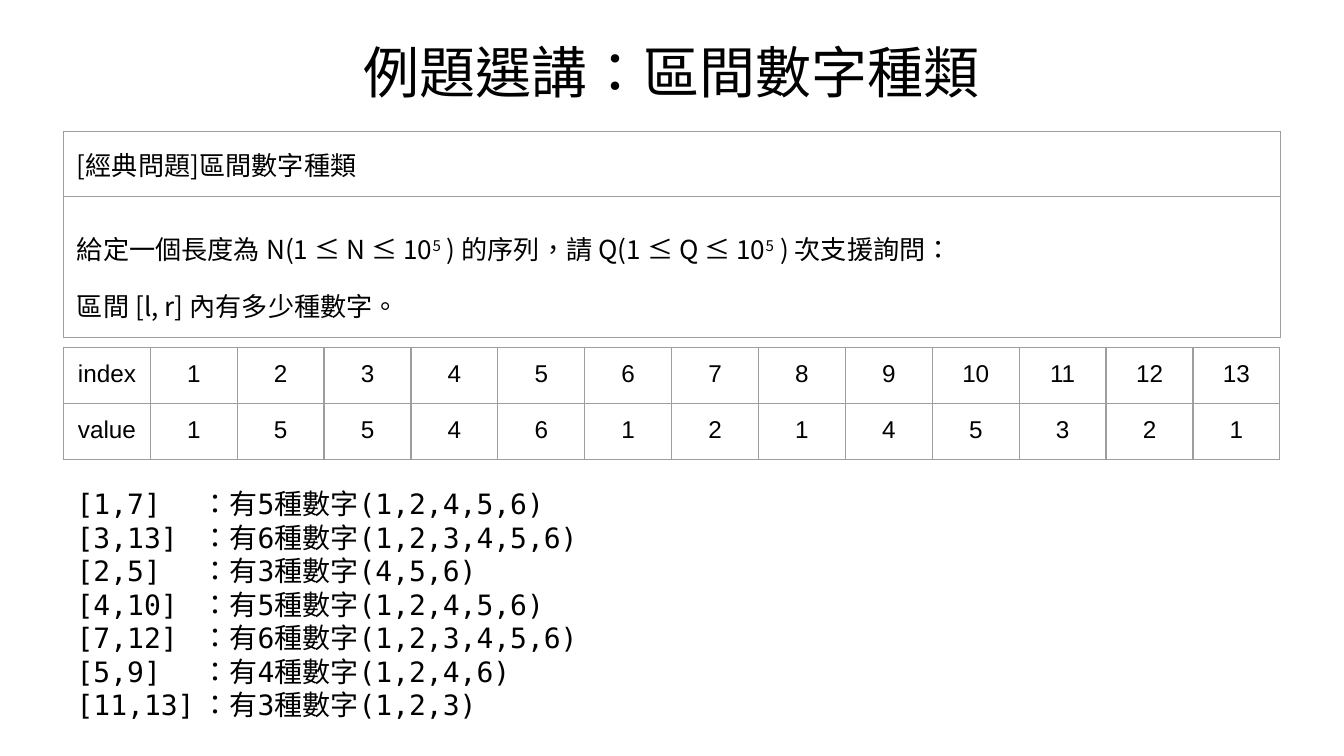
from lxml import etree
from pptx import Presentation
from pptx.dml.color import RGBColor
from pptx.enum.text import PP_ALIGN
from pptx.oxml.ns import qn
from pptx.util import Pt

# Content: a paragraph is a list of (text, superscript) runs
TITLE = "例題選講：區間數字種類"
PROBLEM_NAME = "[經典問題]區間數字種類"
PROBLEM = [
    [("給定⼀個⻑度為 N(1 ≤ N ≤ 10", False), ("5", True),
     (" ) 的序列，請 Q(1 ≤ Q ≤ 10", False), ("5", True),
     (" ) 次⽀援詢問：", False)],
    [("區間 [l, r] 內有多少種數字。", False)],
]
VALUES = [1, 5, 5, 4, 6, 1, 2, 1, 4, 5, 3, 2, 1]
ANSWERS = [
    ("[1,7]", "有5種數字(1,2,4,5,6)"),
    ("[3,13]", "有6種數字(1,2,3,4,5,6)"),
    ("[2,5]", "有3種數字(4,5,6)"),
    ("[4,10]", "有5種數字(1,2,4,5,6)"),
    ("[7,12]", "有6種數字(1,2,3,4,5,6)"),
    ("[5,9]", "有4種數字(1,2,4,6)"),
    ("[11,13]", "有3種數字(1,2,3)"),
]

THEME = {
    "text": RGBColor(0, 0, 0), "border": "9E9E9E", "border_width": Pt(0.75),
    "title": ("Noto Sans CJK TC", 30), "problem": ("Noto Sans CJK TC", 14),
    "sequence": ("Arial", 13), "answer": ("DejaVu Sans Mono", 15),
}
LANGUAGE = "zh-TW"
INSET = Pt(7.2)
LEFT, TABLE_WIDTH = 34, 652
COLON_TAB = Pt(67)


def plain(text):
    return [(text, False)]


def write(frame, paragraphs, style, align=PP_ALIGN.LEFT, spacing=None, tab=None):
    name, size = THEME[style]
    for i, runs in enumerate(paragraphs):
        paragraph = frame.paragraphs[0] if i == 0 else frame.add_paragraph()
        paragraph.alignment = align
        if spacing:
            paragraph.line_spacing = spacing
        if tab:
            tabs = etree.SubElement(paragraph._p.get_or_add_pPr(), qn("a:tabLst"))
            etree.SubElement(tabs, qn("a:tab"), pos=str(tab), algn="l")
        for text, superscript in runs:
            run = paragraph.add_run()
            run.text = text
            run.font.name, run.font.size = name, Pt(size)
            run.font.color.rgb = THEME["text"]
            properties = run._r.get_or_add_rPr()
            properties.set("lang", LANGUAGE)
            etree.SubElement(properties, qn("a:ea"), typeface=name)
            if superscript:
                properties.set("baseline", "30000")


def set_insets(holder):
    holder.margin_left = holder.margin_right = INSET
    holder.margin_top = holder.margin_bottom = INSET


def add_text(slide, left, top, width, height, paragraphs, style, **options):
    frame = slide.shapes.add_textbox(Pt(left), Pt(top), Pt(width), Pt(height)).text_frame
    frame.word_wrap = True
    set_insets(frame)
    write(frame, paragraphs, style, **options)


def add_borders(cell):
    for side in ("lnL", "lnR", "lnT", "lnB"):
        line = etree.SubElement(cell._tc.get_or_add_tcPr(), qn(f"a:{side}"),
                                w=str(THEME["border_width"]))
        fill = etree.SubElement(line, qn("a:solidFill"))
        etree.SubElement(fill, qn("a:srgbClr"), val=THEME["border"])


def add_grid(slide, top, heights, rows, style, align=PP_ALIGN.LEFT, spacings=(None, None)):
    """Each row is a list of cells, each cell a list of paragraphs."""
    columns = len(rows[0])
    table = slide.shapes.add_table(len(rows), columns, Pt(LEFT), Pt(top),
                                   Pt(TABLE_WIDTH), Pt(sum(heights))).table
    table.first_row = table.horz_banding = False
    for column in table.columns:
        column.width = Pt(TABLE_WIDTH / columns)
    for r, (row, height, spacing) in enumerate(zip(rows, heights, spacings)):
        table.rows[r].height = Pt(height)
        for c, paragraphs in enumerate(row):
            cell = table.cell(r, c)
            set_insets(cell)
            add_borders(cell)
            cell.fill.background()
            write(cell.text_frame, paragraphs, style, align=align, spacing=spacing)


presentation = Presentation()
presentation.slide_width, presentation.slide_height = Pt(720), Pt(405)
slide = presentation.slides.add_slide(presentation.slide_layouts[6])

# Title
add_text(slide, 0, 13, 720, 48, [plain(TITLE)], "title", align=PP_ALIGN.CENTER)

# Problem statement
add_grid(slide, 70.4, (34.8, 75.6), [[[plain(PROBLEM_NAME)]], [PROBLEM]],
         "problem", spacings=(None, 1.5))

# Sequence with its indices
sequence = [["index", *range(1, len(VALUES) + 1)], ["value", *VALUES]]
add_grid(slide, 186, (30, 30),
         [[[plain(str(item))] for item in row] for row in sequence],
         "sequence", align=PP_ALIGN.CENTER)

# Answers to the sample queries
add_text(slide, LEFT, 253.4, 614, 131,
         [plain(f"{interval}\t：{kinds}") for interval, kinds in ANSWERS],
         "answer", tab=COLON_TAB)

presentation.save("out.pptx")
